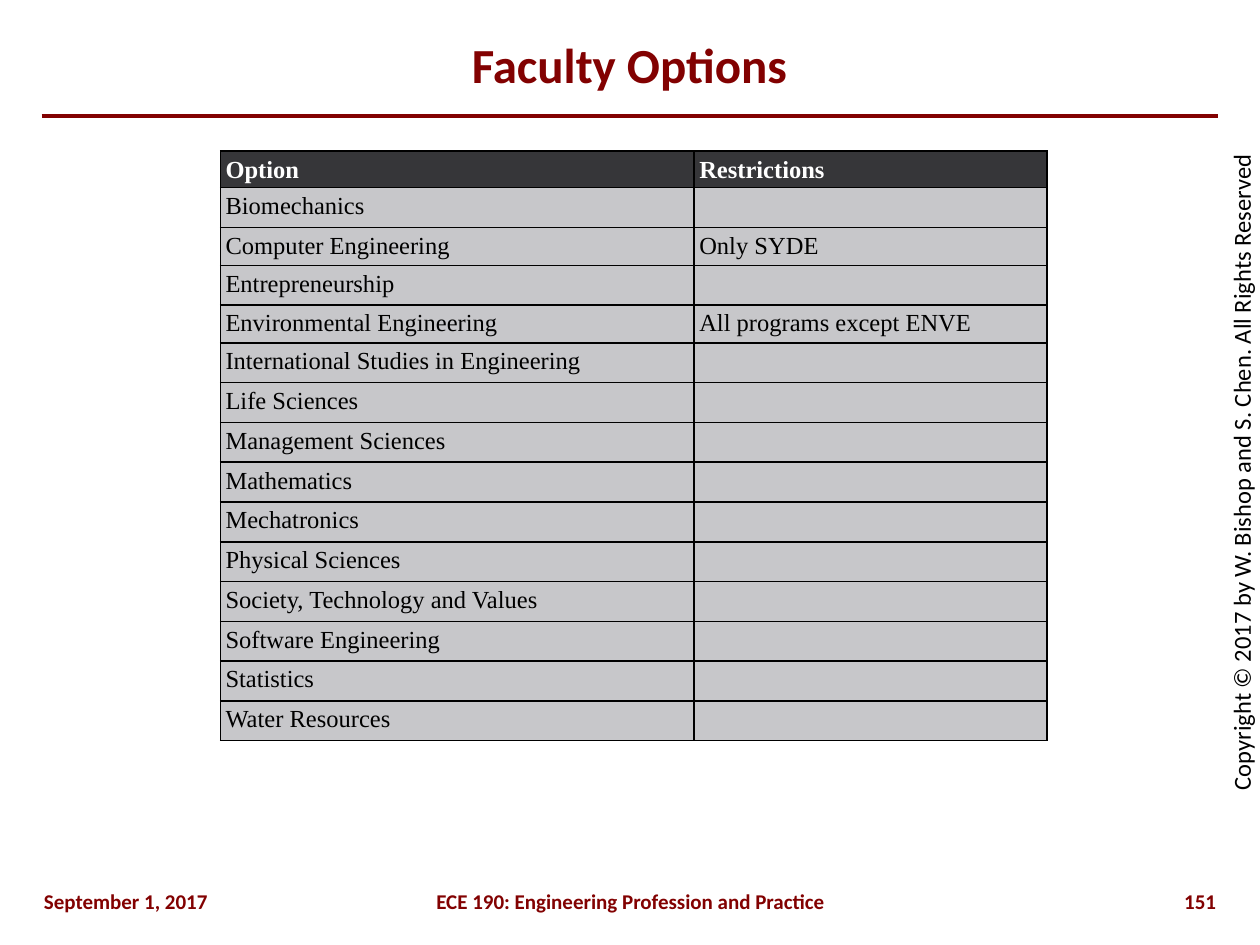
import dataclasses

import pptx
import pptx.dml.color
import pptx.enum.shapes
import pptx.enum.text
import pptx.oxml
import pptx.oxml.ns
import pptx.util

Inches = pptx.util.Inches
Pt = pptx.util.Pt
Align = pptx.enum.text.PP_ALIGN
Anchor = pptx.enum.text.MSO_ANCHOR


@dataclasses.dataclass(frozen=True)
class Theme:
    heading_font: str = "Calibri"
    table_font: str = "Times New Roman"
    maroon: str = "820101"
    black: str = "000000"
    white: str = "FFFFFF"
    header_fill: str = "363639"
    body_fill: str = "C7C7CA"
    title_size: int = 28
    body_size: int = 14
    footer_size: int = 12


THEME = Theme()
TABLE_HEIGHT, HEADER_HEIGHT, RESTRICTED_HEIGHT = 4.68, 0.29, 0.3
CELL_INSET = 0.04

OPTIONS = [
    ("Biomechanics", ""),
    ("Computer Engineering", "Only SYDE"),
    ("Entrepreneurship", ""),
    ("Environmental Engineering", "All programs except ENVE"),
    ("International Studies in Engineering", ""),
    ("Life Sciences", ""),
    ("Management Sciences", ""),
    ("Mathematics", ""),
    ("Mechatronics", ""),
    ("Physical Sciences", ""),
    ("Society, Technology and Values", ""),
    ("Software Engineering", ""),
    ("Statistics", ""),
    ("Water Resources", ""),
]


def rgb(value):
    return pptx.dml.color.RGBColor.from_string(value)


def write_text(frame, text, *, font=THEME.heading_font, size=THEME.footer_size,
               color=THEME.maroon, bold=True, align=Align.LEFT):
    paragraph = frame.paragraphs[0]
    paragraph.alignment = align
    run = paragraph.add_run()
    run.text = text
    run.font.name = font
    run.font.size = Pt(size)
    run.font.bold = bold
    run.font.color.rgb = rgb(color)


def add_label(slide, text, left, top, width, height, *, rotation=0,
              anchor=Anchor.TOP, **text_format):
    label = slide.shapes.add_textbox(Inches(left), Inches(top), Inches(width), Inches(height))
    label.rotation = rotation
    label.text_frame.word_wrap = True
    label.text_frame.vertical_anchor = anchor
    write_text(label.text_frame, text, **text_format)


def add_title_rule(slide):
    rule = slide.shapes.add_connector(
        pptx.enum.shapes.MSO_CONNECTOR.STRAIGHT,
        Inches(0.33), Inches(0.92), Inches(9.67), Inches(0.92))
    rule.line.color.rgb = rgb(THEME.maroon)
    rule.line.width = Pt(2.25)
    rule._element.spPr.append(pptx.oxml.parse_xml(
        f'<a:effectLst {pptx.oxml.ns.nsdecls("a")}/>'))


def add_borders(cell):
    """Draw a one-point line on all four sides; must precede the cell fill."""
    properties = cell._tc.get_or_add_tcPr()
    for side in ("lnL", "lnR", "lnT", "lnB"):
        properties.append(pptx.oxml.parse_xml(
            f'<a:{side} {pptx.oxml.ns.nsdecls("a")} w="{Pt(1)}"><a:solidFill>'
            f'<a:srgbClr val="{THEME.black}"/></a:solidFill></a:{side}>'))


def fill_cell(cell, text, is_header):
    add_borders(cell)
    cell.fill.solid()
    cell.fill.fore_color.rgb = rgb(THEME.header_fill if is_header else THEME.body_fill)
    cell.margin_left = cell.margin_right = Inches(CELL_INSET)
    cell.margin_top = Inches(CELL_INSET if text else 0)
    cell.margin_bottom = 0
    if text:
        write_text(cell.text_frame, text, font=THEME.table_font, size=THEME.body_size,
                   color=THEME.white if is_header else THEME.black, bold=is_header)


def add_options_table(slide):
    rows = [("Option", "Restrictions"), *OPTIONS]
    table = slide.shapes.add_table(
        len(rows), 2, Inches(1.75), Inches(1.2), Inches(6.56), Inches(TABLE_HEIGHT)).table
    table.horz_banding = False
    for column, width in zip(table.columns, (3.76, 2.8)):
        column.width = Inches(width)

    restricted = sum(bool(restriction) for _, restriction in OPTIONS)
    open_height = ((TABLE_HEIGHT - HEADER_HEIGHT - restricted * RESTRICTED_HEIGHT)
                   / (len(OPTIONS) - restricted))
    for index, texts in enumerate(rows):
        is_header = index == 0
        if is_header:
            height = HEADER_HEIGHT
        else:
            height = RESTRICTED_HEIGHT if texts[1] else open_height
        table.rows[index].height = Inches(height)
        for column, text in enumerate(texts):
            fill_cell(table.cell(index, column), text, is_header)


def add_footer(slide):
    add_label(slide, "ECE 190: Engineering Profession and Practice",
              1.67, 7, 6.67, 0.25, align=Align.CENTER)
    add_label(slide, "151", 8.5, 7, 1.25, 0.25, align=Align.RIGHT)
    add_label(slide, "September 1, 2017", 0.25, 7, 1.75, 0.25)


def main():
    deck = pptx.Presentation()
    deck.slide_width, deck.slide_height = Inches(10), Inches(7.5)
    slide = deck.slides.add_slide(deck.slide_layouts[6])
    add_title_rule(slide)
    add_label(slide, "Copyright © 2017 by W. Bishop and S. Chen. All Rights Reserved",
              6.27, 3.58, 7.17, 0.34, rotation=270, size=THEME.body_size,
              color=THEME.black, bold=False, align=Align.CENTER)
    add_label(slide, "Faculty Options", 0.33, 0.17, 9.33, 0.67, anchor=Anchor.MIDDLE,
              size=THEME.title_size, align=Align.CENTER)
    add_options_table(slide)
    add_footer(slide)
    deck.save("out.pptx")


if __name__ == "__main__":
    main()
